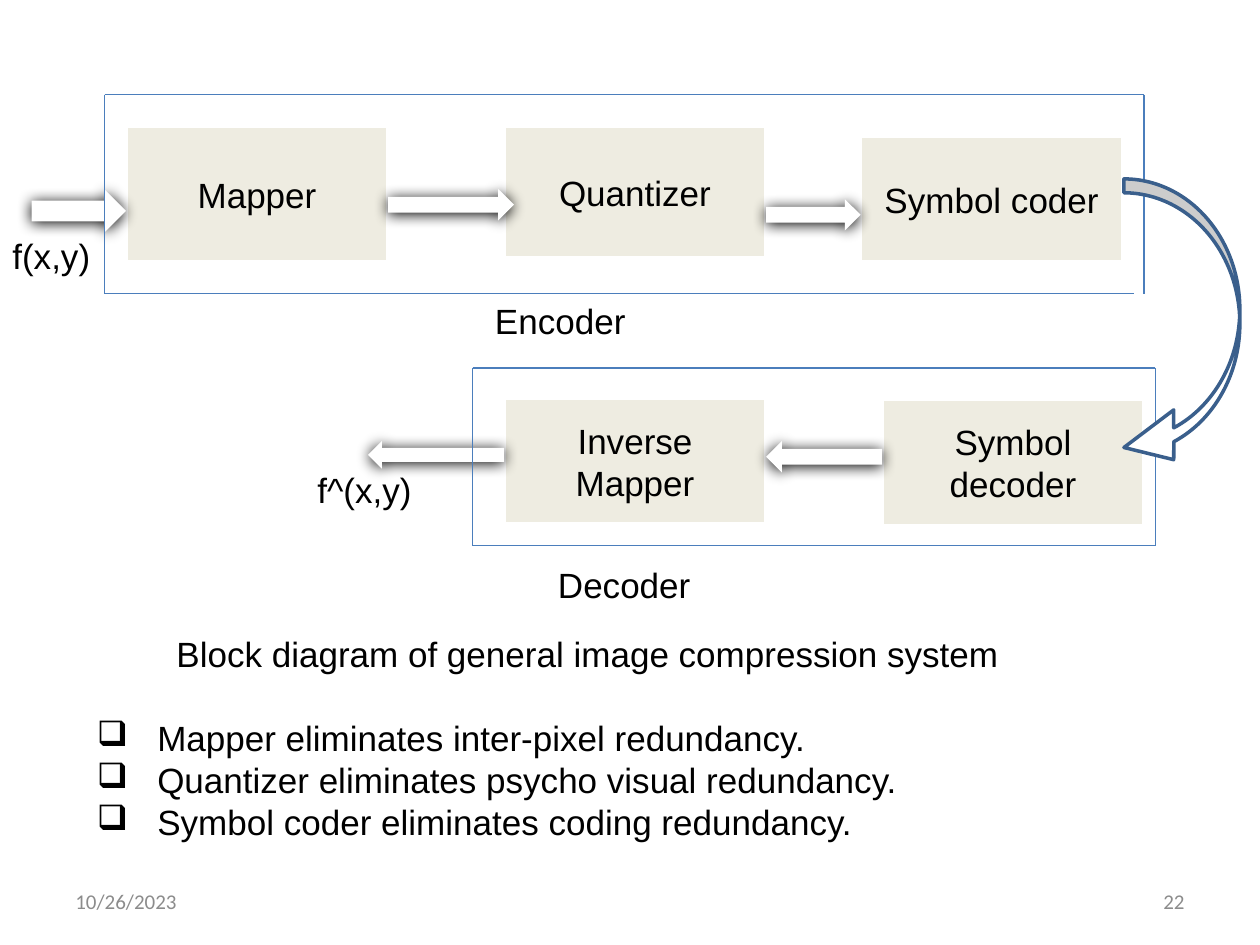
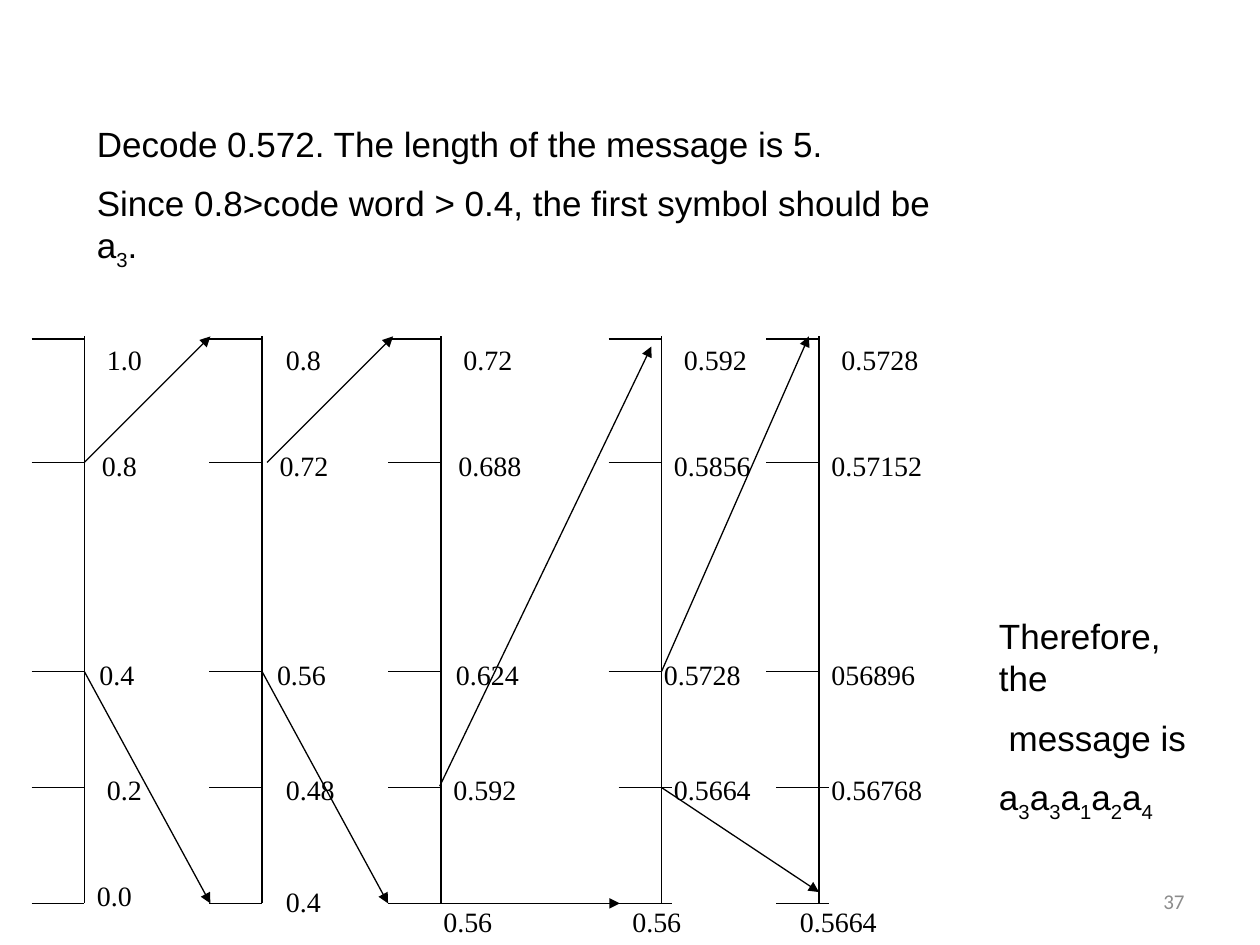
from lxml import etree
from pptx import Presentation
from pptx.dml.color import RGBColor
from pptx.enum.shapes import MSO_CONNECTOR, MSO_SHAPE
from pptx.enum.text import MSO_ANCHOR, PP_ALIGN
from pptx.oxml.ns import qn
from pptx.util import Inches, Pt

LEFT, CENTER, RIGHT = PP_ALIGN.LEFT, PP_ALIGN.CENTER, PP_ALIGN.RIGHT
TOP, MIDDLE = MSO_ANCHOR.TOP, MSO_ANCHOR.MIDDLE
RECTANGLE, RIGHT_ARROW = MSO_SHAPE.RECTANGLE, MSO_SHAPE.RIGHT_ARROW
CURVED_ARROW, STRAIGHT = MSO_SHAPE.CURVED_LEFT_ARROW, MSO_CONNECTOR.STRAIGHT

BLACK, WHITE, GREY = "000000", "FFFFFF", "8C8C8C"
BEIGE, FRAME_BLUE, ARROW_BLUE = "EEECE1", "4B7EBC", "3A5F8C"
color = RGBColor.from_string


def add_text(slide, box, lines, size=20, font="Arial", ink=BLACK,
             align=LEFT, anchor=TOP, gap=0):
    frame = slide.shapes.add_textbox(*map(Inches, box)).text_frame
    frame.word_wrap = True
    frame.vertical_anchor = anchor
    for index, line in enumerate(lines):
        paragraph = frame.paragraphs[0] if index == 0 else frame.add_paragraph()
        paragraph.alignment = align
        paragraph.space_before = Pt(gap if index else 0)
        paragraph.font.size = Pt(size)
        paragraph.font.name = font
        paragraph.font.color.rgb = color(ink)
        for part, piece in enumerate(line.split("|")):
            if piece:
                run = paragraph.add_run()
                run.text = piece
                if part % 2:
                    run._r.get_or_add_rPr().set("baseline", "-25000")
    return frame


def add_line(slide, start, end, ink=BLACK, arrow=False):
    line = slide.shapes.add_connector(STRAIGHT, *map(Inches, (*start, *end)))
    line.line.color.rgb = color(ink)
    line.line.width = Pt(0.75)
    if arrow:
        etree.SubElement(line.line._get_or_add_ln(), qn("a:tailEnd"), type="triangle")
    etree.SubElement(line._element.spPr, qn("a:effectLst"))


deck = Presentation()
deck.slide_width, deck.slide_height = Inches(10), Inches(7.5)
blank = deck.slide_layouts[6]
compression, decoding = (deck.slides.add_slide(blank) for _ in range(2))
for slide, number in ((compression, "22"), (decoding, "37")):
    add_text(slide, (7.17, 6.95, 2.33, 0.4), [number], 12, "Calibri", GREY, RIGHT, MIDDLE)
add_text(compression, (0.5, 6.95, 2.33, 0.4), ["10/26/2023"], 12, "Calibri", GREY, anchor=MIDDLE)

for caption, left, top, width in (
    ("f(x,y)", 0, 1.81, 1),
    ("Encoder", 3.83, 2.33, 2.58),
    ("f^(x,y)", 2.42, 3.67, 1.08),
    ("Decoder", 4.33, 4.42, 2.25),
):
    add_text(compression, (left, top, width, 0.44), [caption])
add_text(compression, (0.58, 4.97, 8.17, 0.44),
         ["Block diagram of general image compression system"], align=CENTER)

roles = add_text(compression, (0.67, 5.64, 8, 1.11), [
    "Mapper eliminates inter-pixel redundancy.",
    "Quantizer eliminates psycho visual redundancy.",
    "Symbol coder eliminates coding redundancy.",
])
for role in roles.paragraphs:
    properties = role._p.get_or_add_pPr()
    properties.set("marL", str(Inches(0.48)))
    properties.set("indent", str(Inches(-0.48)))
    bullet = etree.Element(qn("a:buChar"), char="❑")
    properties.insert_element_before(bullet, "a:tabLst", "a:defRPr", "a:extLst")

for stage, left, top, height in (
    ("Mapper", 1, 1, 1.08),
    ("Quantizer", 4, 1, 1.05),
    ("Symbol coder", 6.83, 1.08, 1),
    ("Inverse Mapper", 4, 3.16, 1),
    ("Symbol decoder", 7, 3.17, 1),
):
    block = compression.shapes.add_shape(
        RECTANGLE, *map(Inches, (left, top, 2.08, height)))
    block.shadow.inherit = False
    block.fill.solid()
    block.fill.fore_color.rgb = color(BEIGE)
    block.line.color.rgb = color(WHITE)
    block.line.width = Pt(2)
    block.text_frame.vertical_anchor = MIDDLE
    name = block.text_frame.paragraphs[0]
    name.text = stage
    name.alignment = CENTER
    name.font.size = Pt(20)
    name.font.name = "Arial"
    name.font.color.rgb = color(BLACK)

for left, top, width, height, turn in (
    (0.25, 1.51, 0.75, 0.33, 0),
    (3.08, 1.5, 1, 0.25, 0),
    (6.08, 1.58, 0.75, 0.25, 0),
    (6.08, 3.5, 0.92, 0.25, 180),
    (2.92, 3.5, 1.08, 0.22, 180),
):
    flow = compression.shapes.add_shape(
        RIGHT_ARROW, *map(Inches, (left, top, width, height)))
    flow.rotation = turn
    flow.fill.solid()
    flow.fill.fore_color.rgb = color(WHITE)
    flow.line.fill.background()
    flow.shadow.inherit = False
    effects = flow._element.spPr.find(qn("a:effectLst"))
    shadow = etree.SubElement(effects, qn("a:outerShdw"), blurRad=str(Pt(8.5)),
                              dist=str(Pt(1)), dir="5400000", rotWithShape="0")
    etree.SubElement(shadow, qn("a:srgbClr"), val=BLACK)

for left, top, right, bottom, bottom_end in (
    (0.83, 0.75, 9.08, 2.33, 9),
    (3.75, 2.92, 9.17, 4.33, 9.17),
):
    for start, end in (
        ((left, top), (right, top)),
        ((left, top), (left, bottom)),
        ((left, bottom), (bottom_end, bottom)),
        ((right, top), (right, bottom)),
    ):
        add_line(compression, start, end, FRAME_BLUE)

channel = compression.shapes.add_shape(
    CURVED_ARROW, *map(Inches, (8.92, 1.42, 0.92, 2.33)))
channel.shadow.inherit = False
for index, value in enumerate((0.12, 0.43, 0.43)):
    channel.adjustments[index] = value
channel.fill.solid()
channel.fill.fore_color.rgb = color(WHITE)
channel.line.color.rgb = color(ARROW_BLUE)
channel.line.width = Pt(2)

add_text(decoding, (0.67, 0.92, 7, 0.94), [
    "Decode 0.572. The length of the message is 5.",
    "Since 0.8>code word > 0.4, the first symbol should be a|3|.",
], gap=10)
add_text(decoding, (7.83, 4.83, 1.92, 1.45), [
    "Therefore, the",
    " message is",
    "a|3|a|3|a|1|a|2|a|4|",
], gap=10)

tick_levels = (2.69, 3.67, 5.33, 6.25, 7.17)
label_tops = (2.67, 3.51, 5.17, 6.08)
scales = (
    (0.67, 0, (("1.0", 0.75), ("0.8", 0.71), ("0.4", 0.69), ("0.2", 0.75)), ("0.0", 0.67, 6.92)),
    (2.08, 0, (("0.8", 2.17), ("0.72", 2.12), ("0.56", 2.1), ("0.48", 2.17)), ("0.4", 2.17, 6.97)),
    (3.5, 0, (("0.72", 3.58), ("0.688", 3.54), ("0.624", 3.52), ("0.592", 3.5)), ("0.56", 3.42, 7.13)),
    (5.25, 0.08, (("0.592", 5.33), ("0.5856", 5.25), ("0.5728", 5.17), ("0.5664", 5.25)),
     ("0.56", 4.92, 7.13)),
    (6.5, 0.08, (("0.5728", 6.58), ("0.57152", 6.5), ("056896", 6.5), ("0.56768", 6.5)),
     ("0.5664", 6.25, 7.13)),
)
for axis, low_shift, bounds, lowest in scales:
    add_line(decoding, (axis, 2.67), (axis, 7.17))
    for level in tick_levels:
        tick_end = axis + (low_shift if level > 6 else 0)
        add_line(decoding, (tick_end - 0.42, level), (tick_end, level))
    labels = [(value, left, top) for (value, left), top in zip(bounds, label_tops)]
    for value, left, top in (*labels, lowest):
        add_text(decoding, (left, top, 1.08, 0.37), [value], 16, "Times New Roman")

for start, end in (
    ((0.67, 3.67), (1.67, 2.67)),
    ((0.67, 5.33), (1.67, 7.17)),
    ((2.12, 3.67), (3.12, 2.67)),
    ((2.08, 5.33), (3.08, 7.17)),
    ((3.49, 6.24), (5.17, 2.75)),
    ((3.42, 7.17), (4.92, 7.17)),
    ((5.25, 5.33), (6.42, 2.67)),
    ((5.25, 6.25), (6.5, 7.08)),
):
    add_line(decoding, start, end, arrow=True)

deck.save("out.pptx")
